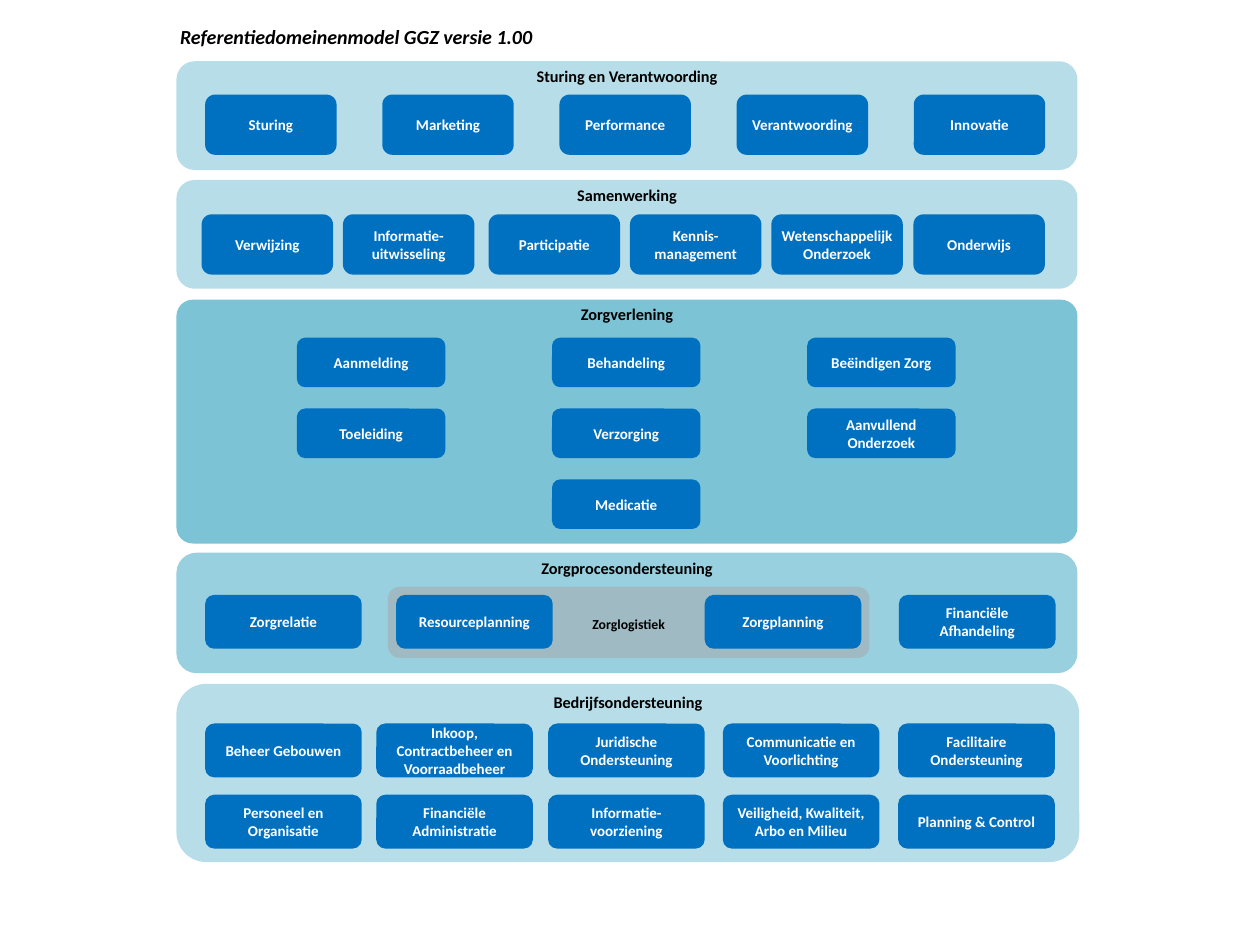
"""Builds the reference domain model slide for mental health care (GGZ)."""
from dataclasses import dataclass

from lxml import etree
from pptx import Presentation
from pptx.dml.color import RGBColor
from pptx.enum.shapes import MSO_SHAPE
from pptx.enum.text import MSO_ANCHOR, MSO_AUTO_SIZE, PP_ALIGN
from pptx.oxml.ns import qn
from pptx.util import Cm, Pt

ROUNDED = MSO_SHAPE.ROUNDED_RECTANGLE
TOP, MIDDLE = MSO_ANCHOR.TOP, MSO_ANCHOR.MIDDLE
LEFT, CENTER = PP_ALIGN.LEFT, PP_ALIGN.CENTER
NO_AUTOFIT = MSO_AUTO_SIZE.NONE


@dataclass(frozen=True)
class Theme:
    font: str = "Calibri"
    black: str = "000000"
    white: str = "FFFFFF"
    light: str = "B7DEE8"
    medium: str = "99D0DF"
    dark: str = "7CC3D6"
    domain: str = "0070C0"
    group: str = "A6A6A6"
    title_size: int = 16
    band_size: int = 13
    domain_size: int = 12
    group_size: int = 11


theme = Theme()
presentation = Presentation()
presentation.slide_width = Cm(35.56)
presentation.slide_height = Cm(26.67)
slide = presentation.slides.add_slide(presentation.slide_layouts[5])


def set_text(shape, text, size, color, anchor, margins, align=CENTER, italic=False):
    frame = shape.text_frame
    frame.text = text
    frame.word_wrap = True
    frame.auto_size = NO_AUTOFIT
    frame.vertical_anchor = anchor
    side, top, bottom = margins
    frame.margin_left = frame.margin_right = Cm(side)
    frame.margin_top, frame.margin_bottom = Cm(top), Cm(bottom)
    for paragraph in frame.paragraphs:
        paragraph.alignment = align
        for run in paragraph.runs:
            run.font.name = theme.font
            run.font.size = Pt(size)
            run.font.bold = True
            run.font.italic = italic
            run.font.color.rgb = RGBColor.from_string(color)


def add_box(left, top, width, height, fill, corner=0.167):
    shape = slide.shapes.add_shape(ROUNDED, Cm(left), Cm(top), Cm(width), Cm(height))
    shape.adjustments[0] = corner
    shape.shadow.inherit = False
    shape.fill.solid()
    shape.fill.fore_color.rgb = RGBColor.from_string(fill)
    shape.line.fill.background()
    return shape


title = slide.shapes.title
title.left, title.top, title.width, title.height = Cm(4.78), Cm(0.53), Cm(11.61), Cm(0.99)
set_text(title, "Referentiedomeinenmodel GGZ versie 1.00", theme.title_size, theme.black,
         TOP, (0.3, 0.15, 0.15), LEFT, True)

bands = [
    ("Sturing en Verantwoording", 1.73, 25.43, 3.07, theme.light, 0.167),
    ("Samenwerking", 5.08, 25.43, 3.07, theme.light, 0.167),
    ("Zorgverlening", 8.46, 25.43, 6.88, theme.dark, 0.067),
    ("Zorgprocesondersteuning", 15.6, 25.43, 3.4, theme.medium, 0.167),
    ("Bedrijfsondersteuning", 19.3, 25.48, 5.03, theme.light, 0.167),
]
for name, top, width, height, fill, corner in bands:
    band = add_box(4.98, top, width, height, fill, corner)
    set_text(band, name, theme.band_size, theme.black, TOP, (0.25, 0, 0.13))

logistics = add_box(10.95, 16.56, 13.59, 2.01, theme.group)
color_element = logistics.fill._xPr.find(qn("a:solidFill"))[0]
etree.SubElement(color_element, qn("a:alpha"), val="50000")
set_text(logistics, "Zorglogistiek", theme.group_size, theme.black, MIDDLE, (0.25, 0.1, 0))

large, medium, wide = (3.71, 1.7), (4.19, 1.4), (4.42, 1.52)
narrow_margins, normal_margins = (0.1, 0.15, 0.15), (0.25, 0.13, 0.13)
steering_columns = [5.79 + 5 * column for column in range(5)]
cooperation_columns = [5.69, 9.68, 13.79, 17.78, 21.77, 25.78]
care_columns = [8.38 + 7.2 * column for column in range(3)]
process_columns = [5.79, 11.18, 19.89, 25.37]
business_columns = [5.79, 10.62, 15.47, 20.4, 25.35]

domain_rows = [
    (2.67, large, narrow_margins, steering_columns,
     ["Sturing", "Marketing", "Performance", "Verantwoording", "Innovatie"]),
    (6.05, large, narrow_margins, cooperation_columns,
     ["Verwijzing", "Informatie-uitwisseling", "Participatie", "Kennis-\nmanagement",
      "Wetenschappelijk Onderzoek", "Onderwijs"]),
    (9.53, medium, normal_margins, care_columns,
     ["Aanmelding", "Behandeling", "Beëindigen Zorg"]),
    (11.53, medium, normal_margins, care_columns,
     ["Toeleiding", "Verzorging", "Aanvullend Onderzoek"]),
    (13.53, medium, normal_margins, care_columns[1:2], ["Medicatie"]),
    (16.79, wide, normal_margins, process_columns,
     ["Zorgrelatie", "Resourceplanning", "Zorgplanning", "Financiële Afhandeling"]),
    (20.42, wide, normal_margins, business_columns,
     ["Beheer Gebouwen", "Inkoop, Contractbeheer en Voorraadbeheer",
      "Juridische Ondersteuning", "Communicatie en Voorlichting",
      "Facilitaire Ondersteuning"]),
    (22.43, wide, normal_margins, business_columns,
     ["Personeel en Organisatie", "Financiële Administratie", "Informatie-voorziening",
      "Veiligheid, Kwaliteit, Arbo en Milieu", "Planning & Control"]),
]
for top, (width, height), margins, columns, names in domain_rows:
    for left, name in zip(columns, names):
        domain = add_box(left, top, width, height, theme.domain)
        set_text(domain, name, theme.domain_size, theme.white, MIDDLE, margins)

presentation.save("out.pptx")
